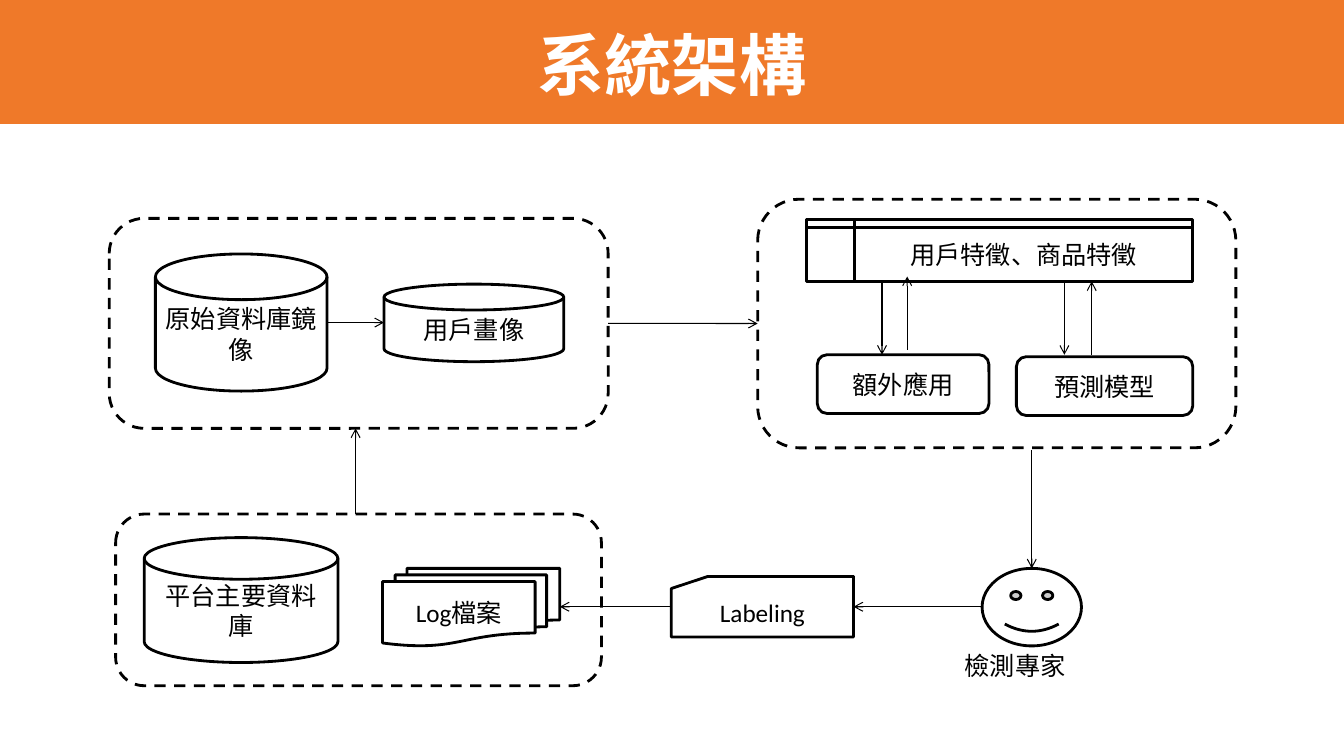
"""Build the system architecture slide."""
from lxml import etree
from pptx import Presentation
from pptx import util as u
from pptx.dml.color import RGBColor
from pptx.enum import dml, shapes, text
from pptx.oxml import ns

BLACK, WHITE, ORANGE = "000000", "FFFFFF", "EF7929"
KIND = shapes.MSO_SHAPE


def rgb(value):
    """Turn a hex string into a colour."""
    return RGBColor.from_string(value)


def write(tf, content, size=18, font="Calibri", color=BLACK, bold=False,
          align=text.PP_ALIGN.CENTER, anchor=text.MSO_ANCHOR.MIDDLE):
    """Write one formatted paragraph into a text frame."""
    tf.vertical_anchor = anchor
    p = tf.paragraphs[0]
    p.alignment = align
    r = p.add_run()
    r.text = content
    r.font.size, r.font.name, r.font.bold = u.Pt(size), font, bold
    r.font.color.rgb = rgb(color)


def add_box(s, kind, box, content=None, fill=WHITE, line=BLACK):
    """Add a preset shape with an outline and an optional label."""
    sp = s.shapes.add_shape(kind, *map(u.Pt, box))
    sp.shadow.inherit = False
    if fill:
        sp.fill.solid()
        sp.fill.fore_color.rgb = rgb(fill)
    else:
        sp.fill.background()
    if line:
        sp.line.color.rgb = rgb(line)
        sp.line.width = u.Pt(2)
    else:
        sp.line.fill.background()
    if content:
        sp.text_frame.word_wrap = True
        write(sp.text_frame, content)
    return sp


def add_frame(s, box):
    """Add a dashed rounded frame around a group of parts."""
    sp = add_box(s, KIND.ROUNDED_RECTANGLE, box, fill=None)
    sp.line.dash_style = dml.MSO_LINE.DASH
    return sp


def add_arrow(s, x1, y1, x2, y2, begin=None, end=None):
    """Add a thin arrow, joined to (shape, side) pairs where given."""
    cn = s.shapes.add_connector(shapes.MSO_CONNECTOR.STRAIGHT,
                                *map(u.Pt, (x1, y1, x2, y2)))
    if begin:
        cn.begin_connect(*begin)
    if end:
        cn.end_connect(*end)
    cn.line.color.rgb = rgb(BLACK)
    cn.line.width = u.Pt(0.75)
    etree.SubElement(cn.line._get_or_add_ln(), ns.qn("a:tailEnd"), type="arrow")
    etree.SubElement(cn.element.spPr, ns.qn("a:effectLst"))


def add_title(s, content):
    """Place the title on its orange banner."""
    title = s.shapes.title
    banner = add_box(s, KIND.RECTANGLE, (0, -2, 960, 90.6), fill=ORANGE, line=None)
    title.element.addprevious(banner.element)
    title.left, title.top, title.width, title.height = map(u.Pt, (48, 0.7, 864, 90))
    write(title.text_frame, content, size=48, font="Arial", color=WHITE, bold=True)


def add_caption(s, box, content):
    """Add an unwrapped caption."""
    tf = s.shapes.add_textbox(*map(u.Pt, box)).text_frame
    tf.word_wrap = False
    tf.auto_size = text.MSO_AUTO_SIZE.SHAPE_TO_FIT_TEXT
    write(tf, content, align=text.PP_ALIGN.LEFT, anchor=text.MSO_ANCHOR.TOP)


def main():
    """Build and save the slide."""
    prs = Presentation()
    prs.slide_width, prs.slide_height = u.Pt(960), u.Pt(540)
    s = prs.slides.add_slide(prs.slide_layouts[5])
    add_title(s, "系統架構")

    disk = KIND.FLOWCHART_MAGNETIC_DISK
    add_box(s, disk, (103, 384, 138.4, 89.2), "平台主要資料庫")
    add_box(s, KIND.FLOWCHART_MULTIDOCUMENT, (273.3, 406, 126.6, 55.4), "Log檔案")
    add_frame(s, (82.6, 367.2, 347, 122.6))

    add_box(s, disk, (111, 181.4, 122.6, 98), "原始資料庫鏡像")
    add_box(s, disk, (274.3, 203, 128.4, 55.4), "用戶畫像")
    add_arrow(s, 233.6, 230.4, 274.3, 230.4)
    data = add_frame(s, (78, 156, 356.4, 150))

    rounded = KIND.ROUNDED_RECTANGLE
    add_box(s, KIND.FLOWCHART_INTERNAL_STORAGE, (576, 157, 276, 44), "用戶特徵、商品特徵")
    add_box(s, rounded, (583.8, 253.4, 122.6, 42), "額外應用")
    add_box(s, rounded, (726, 254.8, 126, 42), "預測模型")
    for x, y1, y2 in ((630, 201, 253.4), (648, 250, 197.5),
                      (779.8, 253.4, 201), (760.3, 201, 253.4)):
        add_arrow(s, x, y1, x, y2)
    features = add_frame(s, (541.2, 142.3, 341.6, 177.6))

    card = add_box(s, KIND.FLOWCHART_CARD, (479.5, 411.8, 130.2, 43.2), "Labeling")
    add_box(s, KIND.SMILEY_FACE, (701.5, 406, 71, 55.4))
    add_caption(s, (682, 461, 88.6, 31.7), "檢測專家")

    add_arrow(s, 737, 321.5, 737, 406)
    add_arrow(s, 701.5, 433.4, 609.7, 433.4, end=(card, 3))
    add_arrow(s, 434.4, 231, 541.2, 231, begin=(data, 3), end=(features, 1))
    add_arrow(s, 254, 367.2, 254, 306)
    add_arrow(s, 479.5, 433.4, 399.9, 433.4, begin=(card, 1))
    prs.save("out.pptx")


if __name__ == "__main__":
    main()
